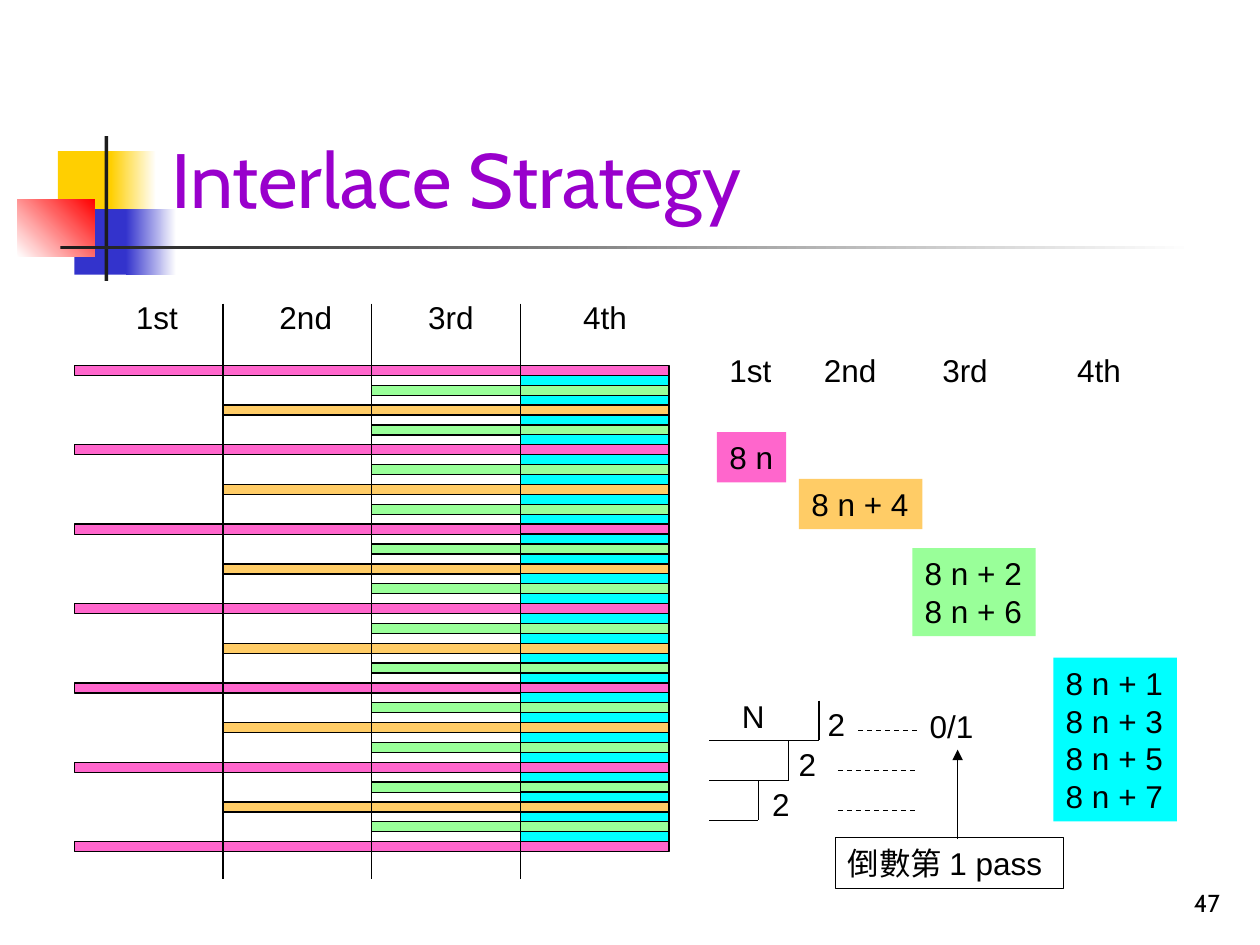
from dataclasses import dataclass

from lxml.etree import SubElement
from pptx import Presentation
from pptx.dml.color import RGBColor
from pptx.enum.dml import MSO_LINE
from pptx.enum.shapes import MSO_CONNECTOR, MSO_SHAPE
from pptx.enum.text import MSO_ANCHOR, MSO_AUTO_SIZE, PP_ALIGN
from pptx.oxml.ns import qn
from pptx.util import Inches, Pt


@dataclass(frozen=True)
class Theme:
    title: str = "9900CC"
    ink: str = "000000"
    paper: str = "FFFFFF"
    gold: str = "FFCF01"
    blue: str = "3333CC"
    red: str = "FF0000"
    rule: str = "1C1C1C"
    passes: tuple = ("FF66CC", "FFCC66", "99FF99", "00FFFF")
    title_font: str = "Cabin"
    body_font: str = "Arial"
    title_size: float = 44
    body_size: float = 18
    number_size: float = 14
    line: float = 0.75


THEME = Theme()
PASS_NAMES = ("1st", "2nd", "3rd", "4th")
NAME_WIDTHS = (0.55, 0.63, 0.58, 0.56)


def rgb(color):
    return RGBColor.from_string(color)


def inches(*values):
    return [Inches(v) for v in values]


def add_rect(slide, box, color, end=None, angle=0, outline=False):
    """Rectangle with a solid fill, or a gradient running from color to end."""
    sp = slide.shapes.add_shape(MSO_SHAPE.RECTANGLE, *inches(*box))
    sp.shadow.inherit = False
    if end:
        sp.fill.gradient()
        sp.fill.gradient_angle = angle
        for stop, stop_color, position in zip(sp.fill.gradient_stops, (color, end), (0, 1)):
            stop.color.rgb = rgb(stop_color)
            stop.position = position
    else:
        sp.fill.solid()
        sp.fill.fore_color.rgb = rgb(color)
    if outline:
        sp.line.color.rgb = rgb(THEME.ink)
        sp.line.width = Pt(THEME.line)
    else:
        sp.line.fill.background()


def add_line(slide, x1, y1, x2, y2, dash=False, arrow=False):
    cn = slide.shapes.add_connector(MSO_CONNECTOR.STRAIGHT, *inches(x1, y1, x2, y2))
    cn.line.color.rgb = rgb(THEME.ink)
    cn.line.width = Pt(THEME.line)
    if dash:
        cn.line.dash_style = MSO_LINE.DASH
    if arrow:
        SubElement(cn.line._get_or_add_ln(), qn("a:tailEnd"), type="triangle")
    SubElement(cn._element.spPr, qn("a:effectLst"))


def add_run(p, text, font, size, color):
    r = p.add_run()
    r.text = text
    r.font.name = font
    r.font.size = Pt(size)
    r.font.color.rgb = rgb(color)


def add_label(slide, box, *lines, fill=None, outline=False):
    """Unwrapped body text, one paragraph a line."""
    sp = slide.shapes.add_textbox(*inches(*box))
    tf = sp.text_frame
    tf.word_wrap = False
    tf.auto_size = MSO_AUTO_SIZE.SHAPE_TO_FIT_TEXT
    for i, line in enumerate(lines):
        p = tf.add_paragraph() if i else tf.paragraphs[0]
        add_run(p, line, THEME.body_font, THEME.body_size, THEME.ink)
    if fill:
        sp.fill.solid()
        sp.fill.fore_color.rgb = rgb(fill)
    if outline:
        sp.line.color.rgb = rgb(THEME.ink)
        sp.line.width = Pt(THEME.line)


def add_pass_names(slide, positions):
    for name, width, (x, y) in zip(PASS_NAMES, NAME_WIDTHS, positions):
        add_label(slide, (x, y, width, 0.4), name)


def add_decoration(slide, box):
    """Coloured squares with the crossed rules beside the title."""
    x, y, w, h = box
    t = THEME
    add_rect(slide, (x + 0.32, y + 0.12, 0.48, 0.52), t.gold)
    add_rect(slide, (x + 0.74, y + 0.12, 0.36, 0.52), t.gold, t.paper)
    add_rect(slide, (x + 0.45, y + 0.58, 0.46, 0.52), t.blue)
    add_rect(slide, (x + 0.86, y + 0.58, 0.4, 0.52), t.blue, t.paper)
    add_rect(slide, (x, y + 0.5, 0.61, 0.46), t.paper, t.red, angle=45)
    add_rect(slide, (x + 0.69, y, 0.03, h), t.rule)
    add_rect(slide, (x + 0.34, y + 0.87, w - 0.34, 0.03), t.rule, t.paper)


def add_title(slide, box, text):
    title = slide.shapes.title
    title.left, title.top, title.width, title.height = inches(*box)
    tf = title.text_frame
    tf.auto_size = MSO_AUTO_SIZE.NONE
    tf.vertical_anchor = MSO_ANCHOR.BOTTOM
    p = tf.paragraphs[0]
    p.alignment = PP_ALIGN.LEFT
    add_run(p, text, THEME.title_font, THEME.title_size, THEME.title)


def add_slide_number(slide, box, number):
    tf = slide.shapes.add_textbox(*inches(*box)).text_frame
    tf.word_wrap = True
    tf.vertical_anchor = MSO_ANCHOR.BOTTOM
    p = tf.paragraphs[0]
    p.alignment = PP_ALIGN.RIGHT
    add_run(p, str(number), THEME.title_font, THEME.number_size, THEME.ink)


def pass_of_row(row):
    """Rows 8n come first, then 8n+4, then 8n+2 and 8n+6, then the odd rows."""
    for index, step in enumerate((8, 4, 2)):
        if row % step == 0:
            return index
    return 3


def add_interlace_chart(slide, box, rows=49):
    """Each row's bar starts in the column of the pass that draws it."""
    x, y, w, h = box
    col = w / len(PASS_NAMES)
    first, pitch = y + 0.49, (h - 0.79) / (rows - 1)
    for row in range(rows):
        index = pass_of_row(row)
        bar = (x + index * col, first + row * pitch, w - index * col, 0.08)
        add_rect(slide, bar, THEME.passes[index], outline=True)

    add_pass_names(slide, [(x + dx, y - 0.09) for dx in (0.39, 1.53, 2.71, 3.94)])
    for i in range(1, len(PASS_NAMES)):
        add_line(slide, x + i * col, y, x + i * col, y + h)


def add_pass_formulas(slide, box):
    """Row numbers drawn by each pass, stepping down to the right."""
    x, y, _, _ = box
    steps = (
        (0, 0.7, 0.55, (0,)),
        (0.65, 1.07, 0.98, (4,)),
        (1.55, 1.62, 0.98, (2, 6)),
        (2.67, 2.49, 0.98, (1, 3, 5, 7)),
    )
    for color, (dx, dy, width, offsets) in zip(THEME.passes, steps):
        lines = [f"8 n + {k}" if k else "8 n" for k in offsets]
        add_label(slide, (x + dx, y + dy, width, 0.1 + 0.3 * len(lines)), *lines, fill=color)

    add_pass_names(slide, [(x + dx, y + 0.01) for dx in (0, 0.75, 1.69, 2.76)])


def add_division(slide, box):
    """Repeated division by 2, with the remainder pointing to a pass."""
    x, y, w, h = box
    step = 0.95 / 3
    add_label(slide, (x + 0.16, y - 0.08, 0.39, 0.4), "N")
    divisor_x, dash_x = (0.84, 0.61, 0.4), (1.18, 1.02, 1.02)
    for i in range(3):
        right, top = x + 0.87 - 0.24 * i, y + step * i
        bottom = top + step
        add_line(slide, x, bottom, right, bottom)
        add_line(slide, right, top, right, bottom)
        add_label(slide, (x + divisor_x[i], top - 0.01, 0.35, 0.4), "2")
        add_line(slide, x + dash_x[i], top + 0.24, x + 1.65, top + 0.24, dash=True)

    add_label(slide, (x + 1.65, y, 0.56, 0.4), "0/1")
    add_line(slide, x + 1.97, y + 1.1, x + 1.97, y + 0.39, arrow=True)
    add_label(slide, (x + w - 1.81, y + h - 0.4, 1.81, 0.4), "倒數第 1 pass", outline=True)


def main():
    prs = Presentation()
    prs.slide_width, prs.slide_height = inches(10, 7.5)
    s = prs.slides.add_slide(prs.slide_layouts[5])
    add_decoration(s, (0.14, 1.08, 9.34, 1.15))
    add_slide_number(s, (7.7, 6.83, 2.08, 0.5), 47)
    add_title(s, (1.26, 0.23, 8.52, 1.6), "Interlace Strategy")
    add_interlace_chart(s, (0.59, 2.41, 4.72, 4.57))
    add_pass_formulas(s, (5.69, 2.73, 3.64, 3.79))
    add_division(s, (5.63, 5.56, 2.81, 1.49))
    prs.save("out.pptx")


if __name__ == "__main__":
    main()
